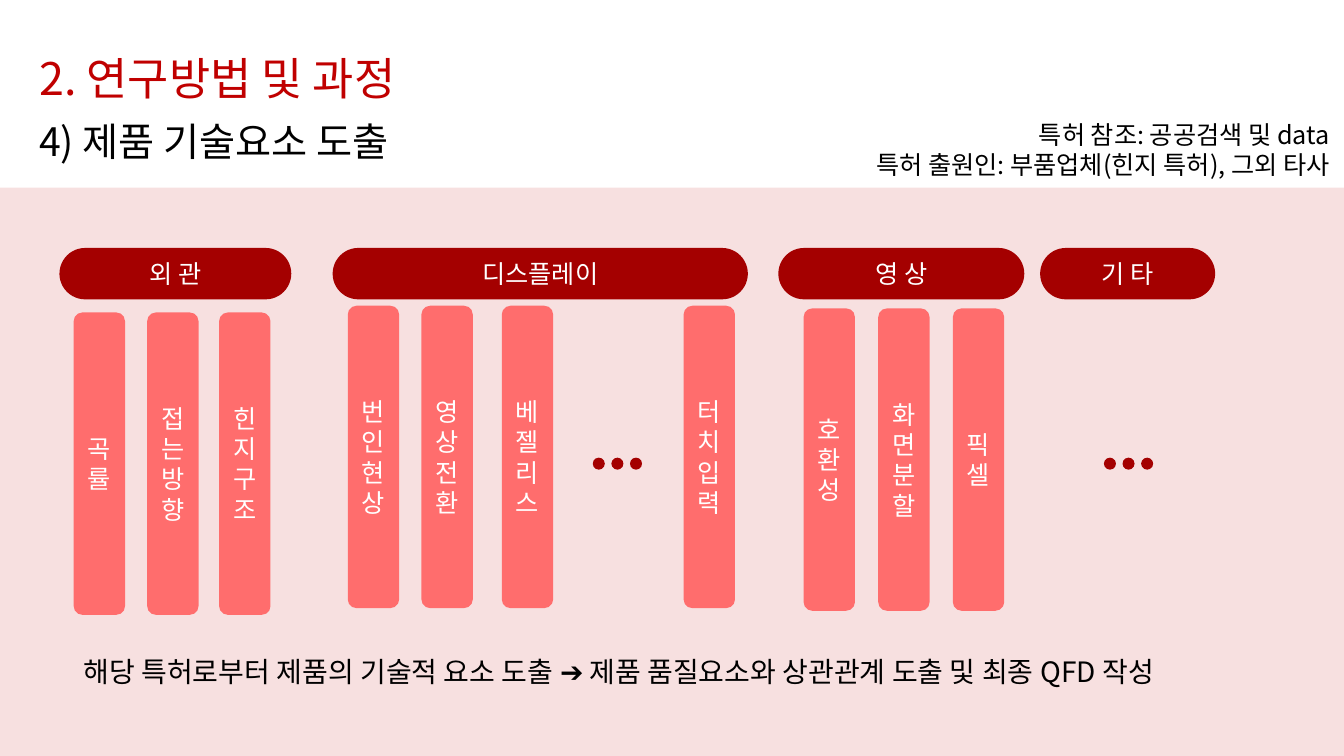
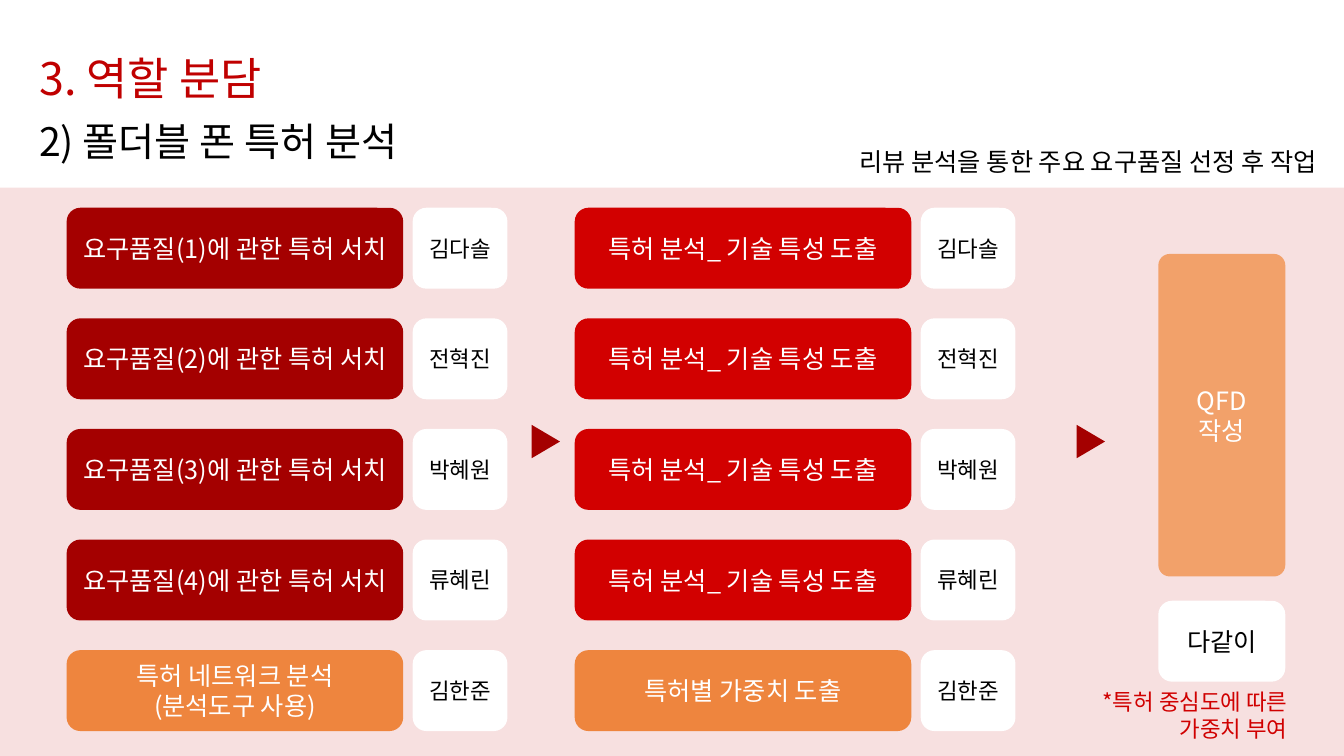
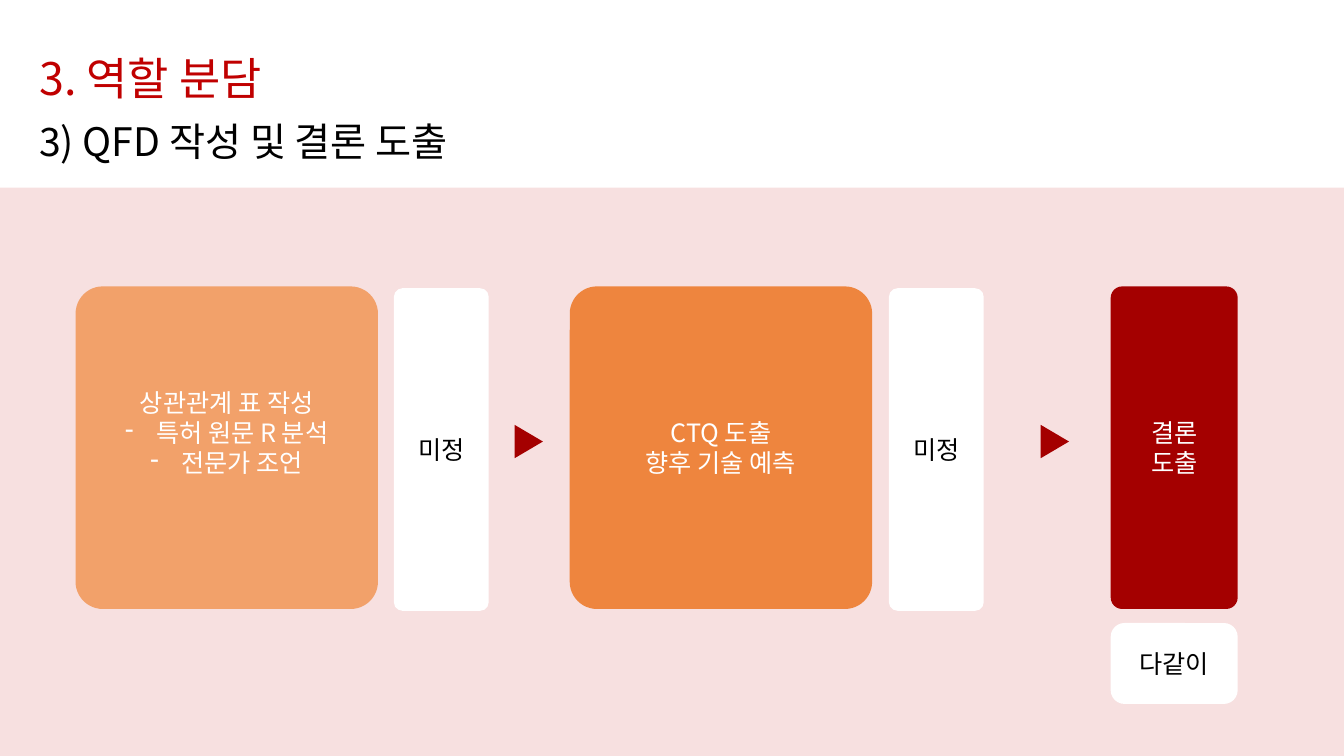
"""Build three slides on foldable-phone patent analysis and role assignment."""
from dataclasses import dataclass

from lxml.etree import SubElement
from pptx import Presentation
from pptx.dml.color import RGBColor
from pptx.enum.shapes import MSO_SHAPE as Shape
from pptx.enum.text import MSO_ANCHOR as Anchor, MSO_AUTO_SIZE as AutoSize, PP_ALIGN as Align
from pptx.oxml.ns import qn
from pptx.util import Pt

FONT = "Noto Sans CJK KR"
COLORS = {
    "title": "C00000", "note": "D00000", "dark": "A40000", "red": "D20000",
    "coral": "FF6D6D", "orange": "EE853E", "peach": "F2A16A",
    "white": "FFFFFF", "black": "000000",
}
LINE_HEIGHT = 21.7
BULLET_INDENT = 22.3
TALL_RADIUS = 0.09
TALL_HEIGHT = 230.4
CARD_HEIGHT = 57.8
PERSON_WIDTH = 67.7
RESULT_WIDTH = 90.7


@dataclass(frozen=True)
class Rect:
    """Place and size in points."""
    left: float
    top: float
    width: float
    height: float

    def lengths(self) -> tuple:
        """Return the four lengths for python-pptx."""
        return Pt(self.left), Pt(self.top), Pt(self.width), Pt(self.height)


@dataclass(frozen=True)
class Group:
    """A heading with the pillars below it."""
    heading: str
    left: float
    width: float
    top: float = 0
    pillars: tuple = ()


@dataclass(frozen=True)
class Stage:
    """A column of tasks with the person in charge of each."""
    left: float
    color: str
    tasks: tuple


def rgb(name: str) -> RGBColor:
    """Look up a palette colour."""
    return RGBColor.from_string(COLORS[name])


def write(frame, text: str, *, size: float = 18, color: str = "black",
          align=Align.LEFT, anchor=Anchor.TOP, bullet: str = "") -> None:
    """Fill a text frame, one paragraph a line; lines led by the bullet mark become list items."""
    frame.word_wrap = True
    frame.auto_size = AutoSize.NONE
    frame.vertical_anchor = anchor
    for index, line in enumerate(text.split("\n")):
        para = frame.add_paragraph() if index else frame.paragraphs[0]
        para.alignment = align
        if bullet and line.startswith(bullet):
            line = line[len(bullet):]
            props = para._p.get_or_add_pPr()
            props.set("marL", str(Pt(BULLET_INDENT)))
            props.set("indent", str(-Pt(BULLET_INDENT)))
            SubElement(props, qn("a:buChar"), char=bullet)
        span = para.add_run()
        span.text = line
        span.font.size = Pt(size)
        span.font.name = FONT
        span.font.color.rgb = rgb(color)
        SubElement(span._r.get_or_add_rPr(), qn("a:ea"), typeface=FONT)


def add_label(page, rect: Rect, text: str, **style) -> None:
    """Add a text box."""
    write(page.shapes.add_textbox(*rect.lengths()).text_frame, text, **style)


def add_figure(page, kind, rect: Rect, fill: str):
    """Add a flat preset shape without outline."""
    figure = page.shapes.add_shape(kind, *rect.lengths())
    figure.shadow.inherit = False
    figure.fill.solid()
    figure.fill.fore_color.rgb = rgb(fill)
    figure.line.fill.background()
    return figure


def add_card(page, rect: Rect, fill: str, text: str, *, radius: float = 0.17, **style):
    """Add a rounded box with centred text."""
    card = add_figure(page, Shape.ROUNDED_RECTANGLE, rect, fill)
    card.adjustments[0] = radius
    style.setdefault("color", "black" if fill == "white" else "white")
    write(card.text_frame, text, align=Align.CENTER, anchor=Anchor.MIDDLE, **style)
    return card


def add_arrow(page, left: float) -> None:
    """Add a triangle that points right."""
    add_figure(page, Shape.ISOSCELES_TRIANGLE, Rect(left, 305.3, 23.8, 20.2), "dark").rotation = 90


def add_dots(page, left: float) -> None:
    """Add three dots in a row."""
    for index in range(3):
        add_figure(page, Shape.OVAL, Rect(left + index * 13.3, 326.9, 8.6, 8.6), "dark")


def add_page(deck, title: str, subtitle: str):
    """Add a slide with the tinted band, title and subtitle."""
    page = deck.slides.add_slide(deck.slide_layouts[5])
    heading = page.shapes.title
    heading.left, heading.top, heading.width, heading.height = Rect(20.9, 32.4, 294, 46).lengths()
    write(heading.text_frame, title, size=32, color="title")
    band = add_figure(page, Shape.RECTANGLE, Rect(0, 134, 960, 406), "title")
    tint = band.fill._xPr.find(qn("a:solidFill"))[0]
    SubElement(tint, qn("a:alpha"), val="12000")
    add_label(page, Rect(20.9, 80, 423.4, 41), subtitle, size=28)
    return page


def build_elements(deck) -> None:
    """Build the slide of product technology elements."""
    page = add_page(deck, "2. 연구방법 및 과정", "4) 제품 기술요소 도출")
    add_label(page, Rect(595.4, 81.4, 361.4, 51),
              "특허 참조: 공공검색 및 data\n특허 출원인: 부품업체(힌지 특허), 그외 타사", align=Align.RIGHT)
    groups = (
        Group("외 관", 42.5, 165.6, 223.2,
              ((52.6, "곡률"), (105.1, "접는방향"), (156.5, "힌지구조"))),
        Group("디스플레이", 237.6, 296.6, 218.4,
              ((248.4, "번인현상"), (301, "영상전환"), (358.4, "베젤리스"), (488.3, "터치입력"))),
        Group("영 상", 556, 175.7, 220.3,
              ((574, "호환성"), (627.3, "화면분할"), (680.6, "픽셀"))),
        Group("기 타", 743, 125),
    )
    for group in groups:
        add_card(page, Rect(group.left, 177.1, group.width, 36.7), "dark", group.heading, radius=0.5)
        for left, text in group.pillars:
            add_card(page, Rect(left, group.top, 36.7, 216), "coral", text)
    for left in (423.4, 788.5):
        add_dots(page, left)
    add_label(page, Rect(52.6, 463.7, 837.4, 31.7),
              "해당 특허로부터 제품의 기술적 요소 도출 ➔ 제품 품질요소와 상관관계 도출 및 최종 QFD 작성", size=20)


def build_patent_roles(deck) -> None:
    """Build the slide of patent analysis roles."""
    page = add_page(deck, "3. 역할 분담", "2) 폴더블 폰 특허 분석")
    add_label(page, Rect(586, 100.8, 361.4, 28.8),
              "리뷰 분석을 통한 주요 요구품질 선정 후 작업", align=Align.RIGHT)
    people = ("김다솔", "전혁진", "박혜원", "류혜린", "김한준")
    searches = tuple(f"요구품질({number})에 관한 특허 서치" for number in range(1, 5))
    stages = (
        Stage(47.6, "dark", searches + ("특허 네트워크 분석\n(분석도구 사용)",)),
        Stage(410.5, "red", ("특허 분석_ 기술 특성 도출",) * 4 + ("특허별 가중치 도출",)),
    )
    for stage in stages:
        for row, (task, person) in enumerate(zip(stage.tasks, people)):
            top = 148.4 + row * 79
            fill = "orange" if row == len(people) - 1 else stage.color
            add_card(page, Rect(stage.left, top, 240.4, CARD_HEIGHT), fill, task)
            add_card(page, Rect(stage.left + 247.2, top, PERSON_WIDTH, CARD_HEIGHT),
                     "white", person, size=16)
    for left in (378, 767.3):
        add_arrow(page, left)
    add_card(page, Rect(827.4, 181.4, RESULT_WIDTH, TALL_HEIGHT), "peach", "QFD\n작성",
             radius=TALL_RADIUS)
    add_card(page, Rect(827.4, 429.1, RESULT_WIDTH, CARD_HEIGHT), "white", "다같이")
    add_label(page, Rect(769, 488.2, 157.7, 46), "*특허 중심도에 따른\n가중치 부여",
              size=16, color="note", align=Align.RIGHT)


def build_conclusion_roles(deck) -> None:
    """Build the slide of QFD and conclusion roles."""
    page = add_page(deck, "3. 역할 분담", "3) QFD 작성 및 결론 도출")
    top = 204.6
    matrix = add_card(page, Rect(54, top, 216, TALL_HEIGHT), "peach",
                      "상관관계 표 작성\n-특허 원문 R 분석\n-전문가 조언",
                      radius=TALL_RADIUS, bullet="-")
    matrix.text_frame.margin_bottom = Pt(3.6 + LINE_HEIGHT)
    add_card(page, Rect(407, top, 216, TALL_HEIGHT), "orange", "CTQ 도출\n향후 기술 예측",
             radius=TALL_RADIUS)
    add_card(page, Rect(793.4, top, RESULT_WIDTH, TALL_HEIGHT), "dark", "결론\n도출",
             radius=TALL_RADIUS)
    for left in (281.4, 635):
        add_card(page, Rect(left, top + 1.3, PERSON_WIDTH, TALL_HEIGHT), "white", "미정",
                 radius=TALL_RADIUS)
    for left in (365.8, 741.6):
        add_arrow(page, left)
    add_card(page, Rect(793.4, 445, RESULT_WIDTH, CARD_HEIGHT), "white", "다같이")


def main() -> None:
    """Build and save the deck."""
    deck = Presentation()
    deck.slide_width, deck.slide_height = Pt(960), Pt(540)
    for build in (build_elements, build_patent_roles, build_conclusion_roles):
        build(deck)
    deck.save("out.pptx")


if __name__ == "__main__":
    main()
